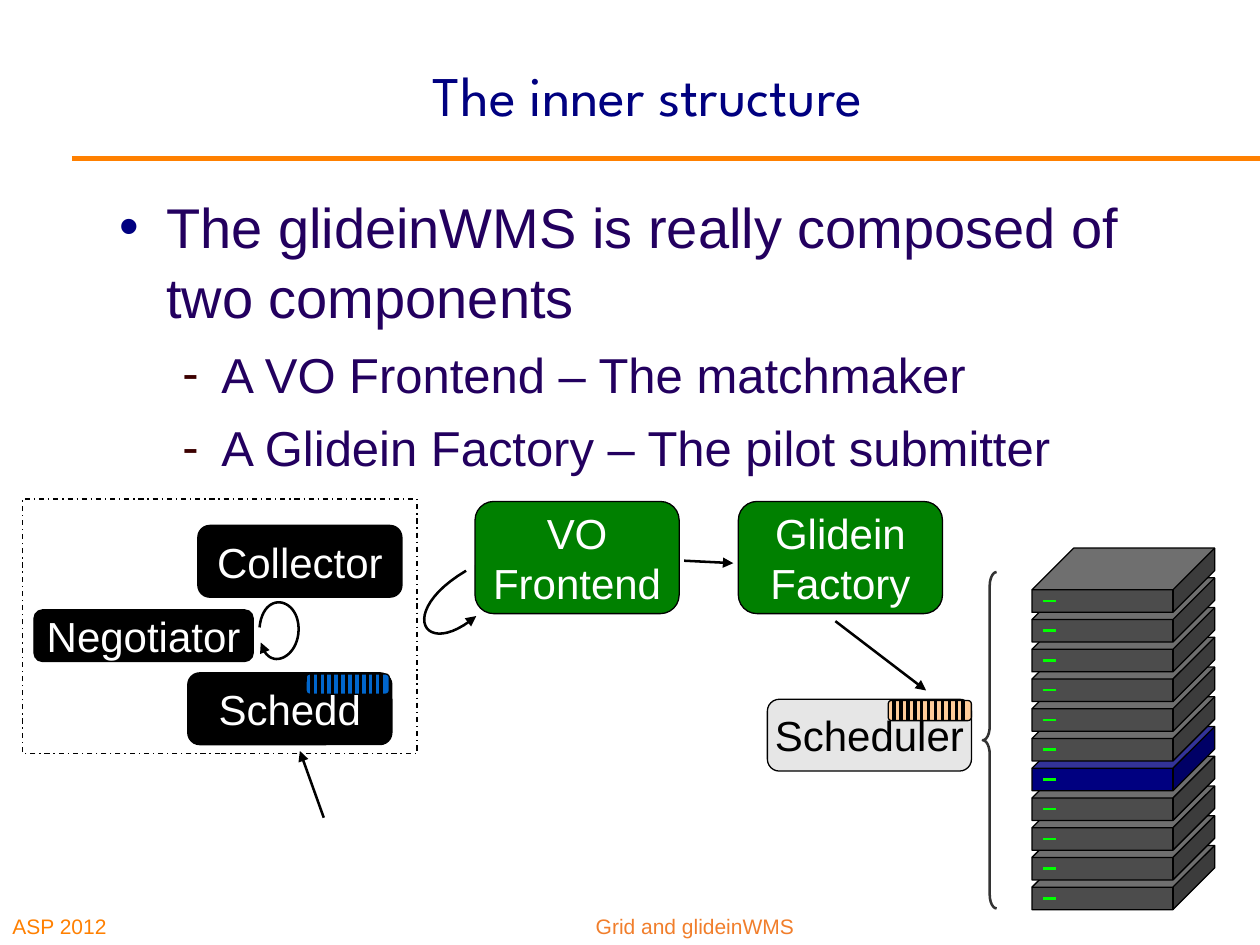
from lxml import etree
from pptx import Presentation
from pptx.dml.color import RGBColor
from pptx.enum.dml import MSO_LINE
from pptx.enum.shapes import MSO_CONNECTOR, MSO_SHAPE
from pptx.enum.text import MSO_ANCHOR, PP_ALIGN
from pptx.oxml.ns import qn
from pptx.util import Pt

PX = 9144  # EMU; 100 px to the inch
ROUND, RECT = MSO_SHAPE.ROUNDED_RECTANGLE, MSO_SHAPE.RECTANGLE
CUBE, BRACE = MSO_SHAPE.CUBE, MSO_SHAPE.LEFT_BRACE
STRAIGHT = MSO_CONNECTOR.STRAIGHT
TOP, MIDDLE, BOTTOM = MSO_ANCHOR.TOP, MSO_ANCHOR.MIDDLE, MSO_ANCHOR.BOTTOM
LEFT, CENTER = PP_ALIGN.LEFT, PP_ALIGN.CENTER
BLACK, WHITE, ORANGE, NAVY = "000000", "FFFFFF", "FF8000", "000080"
GREEN, GREY, LED = "008000", "4C4C4C", "00FF00"
BODY = "23005F"


def px(*values):
    return [round(v * PX) for v in values]


def color(value):
    return RGBColor.from_string(value)


def set_line(sp, line_color, width, arrow=False):
    sp.line.color.rgb = color(line_color)
    sp.line.width = Pt(width)
    if arrow:
        ln = sp._element.spPr.find(qn("a:ln"))
        etree.SubElement(ln, qn("a:tailEnd"), type="triangle")


def add_line(shapes, x1, y1, x2, y2, line_color=BLACK, width=1.45, arrow=False):
    cx = shapes.add_connector(STRAIGHT, *px(x1, y1, x2, y2))
    set_line(cx, line_color, width, arrow)
    etree.SubElement(cx._element.spPr, qn("a:effectLst"))
    return cx


def add_shape(shapes, kind, box, fill=None, line_color=BLACK, width=0, adj=()):
    sp = shapes.add_shape(kind, *px(*box))
    sp.shadow.inherit = False
    if fill:
        sp.fill.solid()
        sp.fill.fore_color.rgb = color(fill)
    else:
        sp.fill.background()
    set_line(sp, line_color, width)
    for i, value in enumerate(adj):
        sp.adjustments[i] = value
    return sp


def write(p, text, size, text_color, font="Arial", align=LEFT):
    p.text = text
    p.alignment = align
    for r in p.runs:
        for name, value in {"size": Pt(size), "name": font}.items():
            setattr(r.font, name, value)
        r.font.color.rgb = color(text_color)


def add_text(shapes, box, anchor=TOP):
    tf = shapes.add_textbox(*px(*box)).text_frame
    tf.word_wrap = True
    tf.vertical_anchor = anchor
    return tf


def add_bullet(p, char, bullet_color, margin, indent):
    pPr = p._p.get_or_add_pPr()
    pPr.set("marL", str(margin * PX))
    pPr.set("indent", str(-indent * PX))
    clr = etree.SubElement(pPr, qn("a:buClr"))
    etree.SubElement(clr, qn("a:srgbClr"), val=bullet_color)
    etree.SubElement(pPr, qn("a:buFont"), typeface="Arial")
    etree.SubElement(pPr, qn("a:buChar"), char=char)


def add_body(shapes, box):
    tf = add_text(shapes, box)
    main, sub = ("•", NAVY, 37, 37), ("-", "3C0000", 81, 31)
    items = [
        ("The glideinWMS is really composed of two components", 32, main),
        ("A VO Frontend – The matchmaker", 28, sub),
        ("A Glidein Factory – The pilot submitter", 28, sub),
    ]
    for i, (text, size, bullet) in enumerate(items):
        p = tf.add_paragraph() if i else tf.paragraphs[0]
        add_bullet(p, *bullet)
        write(p, text, size, BODY)
        p.line_spacing = 1.04
        if i:
            p.level = 1
            p.space_before = Pt(7)


def add_node(shapes, text, box, fill, text_color=WHITE):
    sp = add_shape(shapes, ROUND, box, fill)
    tf = sp.text_frame
    tf.word_wrap = False
    tf.vertical_anchor = MIDDLE
    write(tf.paragraphs[0], text, 24, text_color, align=CENTER)


def add_queue(shapes, x, y, fill):
    """Job queue: a small bar divided by eleven strokes."""
    group = shapes.add_group_shape().shapes
    add_shape(group, ROUND, (x, y, 66, 16), fill)
    for i in range(11):
        stroke = x + 4.5 + 5.5 * i
        add_line(group, stroke, y, stroke, y + 16, width=0)


def add_rack(shapes, x, y, count=11, busy=6, pitch=23.6):
    """Stack of servers, drawn from the bottom up; busy counts from the top."""
    for i in reversed(range(count)):
        top = y + i * pitch
        group = shapes.add_group_shape().shapes
        add_shape(group, CUBE, (x, top, 145, 51), NAVY if i == busy else GREY, adj=(0.65,))
        add_line(group, x + 9, top + 42, x + 19, top + 42, LED)


def add_curve(shapes, start, *segments, steps=24):
    """Arrow along cubic curves, each given as two control points and an end."""
    points = []
    here = start
    for c1, c2, end in segments:
        for k in range(1, steps + 1):
            t = k / steps
            u = 1 - t
            points.append([
                u**3 * a + 3 * u * u * t * b + 3 * u * t * t * c + t**3 * d
                for a, b, c, d in zip(here, c1, c2, end)
            ])
        here = end
    builder = shapes.build_freeform(*px(*start))
    builder.add_line_segments([px(*pt) for pt in points], close=False)
    sp = builder.convert_to_shape()
    sp.shadow.inherit = False
    sp.fill.background()
    set_line(sp, BLACK, 1.45, arrow=True)


def add_frame(shapes):
    """Footer, heading rule and title."""
    tf = add_text(shapes, (0, 708, 248, 42), BOTTOM)
    write(tf.paragraphs[0], "ASP 2012", 12, ORANGE)
    add_line(shapes, 57, 126, 1000, 126, ORANGE, 3)
    tf = add_text(shapes, (377, 720, 349, 31))
    write(tf.paragraphs[0], "Grid and glideinWMS", 12, "F17E2B", align=CENTER)
    tf = add_text(shapes, (134, 12, 760, 125), MIDDLE)
    write(tf.paragraphs[0], "The inner structure", 32, NAVY, "League Spartan", CENTER)


def add_pool(shapes, x, y):
    """Dashed box with the three pool daemons."""
    add_node(shapes, "Schedd", (x + 131, y + 138, 162, 57), BLACK)
    add_queue(shapes, x + 225, y + 139, "0066CC")
    add_node(shapes, "Collector", (x + 139, y + 21, 162, 57), BLACK)
    add_node(shapes, "Negotiator", (x + 9, y + 88, 174, 41), BLACK)
    add_shape(shapes, RECT, (x, y, 313, 202)).line.dash_style = MSO_LINE.DASH_DOT
    add_curve(shapes, (x + 188, y + 102),
              ((x + 191, y + 73), (x + 218, y + 78), (x + 219, y + 102)),
              ((x + 220, y + 126), (x + 195, y + 138), (x + 189, y + 114)))


def add_site(shapes, x, y):
    """Scheduler with its queue, brace and servers."""
    add_rack(shapes, x + 210, y - 120)
    add_shape(shapes, BRACE, (x + 171, y - 101, 11, 267),
              line_color="333333", width=1.45, adj=(1, 0.5))
    add_node(shapes, "Scheduler", (x, y, 162, 57), "E6E6E6", BLACK)
    add_queue(shapes, x + 96, y + 1, "FFCC99")


def main():
    prs = Presentation()
    prs.slide_width, prs.slide_height = px(1000, 750)
    shapes = prs.slides.add_slide(prs.slide_layouts[6]).shapes
    add_frame(shapes)
    add_body(shapes, (85, 146, 850, 495))
    add_site(shapes, 609, 555)
    add_pool(shapes, 18, 396)
    for text, x in (("Glidein\nFactory", 586), ("VO\nFrontend", 377)):
        add_node(shapes, text, (x, 398, 162, 89), GREEN)
    for ends in ((663, 493, 735, 548), (257, 649, 238, 596), (543, 445, 582, 447)):
        add_line(shapes, *ends, arrow=True)
    add_curve(shapes, (370, 453), ((314, 486), (337, 524), (378, 489)))
    prs.save("out.pptx")


if __name__ == "__main__":
    main()
